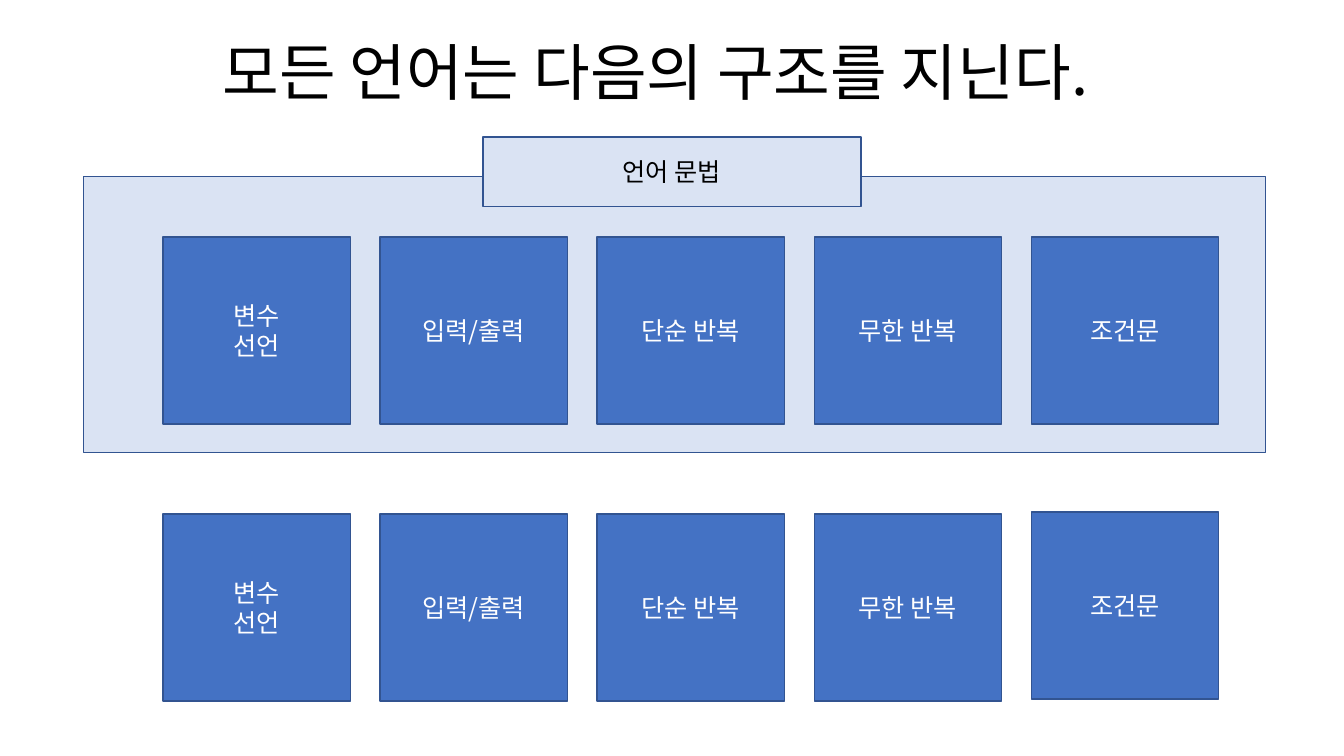
from dataclasses import dataclass

from lxml import etree
from pptx import Presentation
from pptx import util as u
from pptx.dml.color import RGBColor
from pptx.enum import shapes, text
from pptx.oxml.ns import qn
from pptx.shapes.autoshape import Shape
from pptx.slide import Slide


@dataclass(frozen=True)
class Theme:
    font: str = "Noto Sans CJK KR"
    title_size: int = 44
    body_size: int = 18
    ink: str = "000000"
    light_ink: str = "FFFFFF"
    pale: str = "DAE3F3"
    blue: str = "4472C4"
    outline: str = "325491"


@dataclass(frozen=True)
class Box:
    left: float
    top: float
    width: float
    height: float
    fill: str
    ink: str
    caption: str = ""

    def bounds(self) -> tuple[u.Cm, ...]:
        return tuple(u.Cm(side) for side in (self.left, self.top, self.width, self.height))


@dataclass(frozen=True)
class CardRow:
    top: float
    last_top: float


THEME = Theme()
CONCEPTS = ("변수\n선언", "입력/출력", "단순 반복", "무한 반복", "조건문")
CARD_ROWS = (CardRow(5.97, 5.97), CardRow(12.95, 12.9))
CARD_LEFT = 4.11
CARD_SIDE = 4.72
CARD_PITCH = 5.47


def write(holder: Shape, caption: str, size: int, ink: str) -> None:
    frame = holder.text_frame
    frame.word_wrap = True
    frame.text = caption
    for paragraph in frame.paragraphs:
        paragraph.alignment = text.PP_ALIGN.CENTER
        for run in paragraph.runs:
            formats = {"name": THEME.font, "size": u.Pt(size)}
            for attribute, value in formats.items():
                setattr(run.font, attribute, value)
            run.font.color.rgb = RGBColor.from_string(ink)
            east_asian = etree.SubElement(run.font._element, qn("a:ea"))
            east_asian.set("typeface", THEME.font)


def draw_box(slide: Slide, box: Box) -> None:
    block = slide.shapes.add_shape(shapes.MSO_SHAPE.RECTANGLE, *box.bounds())
    block.shadow.inherit = False
    block.fill.solid()
    block.fill.fore_color.rgb = RGBColor.from_string(box.fill)
    block.line.color.rgb = RGBColor.from_string(THEME.outline)
    block.line.width = u.Pt(1)
    if box.caption:
        block.text_frame.vertical_anchor = text.MSO_ANCHOR.MIDDLE
        write(block, box.caption, THEME.body_size, box.ink)


def draw_title(slide: Slide, caption: str) -> None:
    title = slide.shapes.add_textbox(u.Cm(3.28), u.Cm(0.74), u.Cm(26.49), u.Cm(2.13))
    title.text_frame.auto_size = text.MSO_AUTO_SIZE.SHAPE_TO_FIT_TEXT
    write(title, caption, THEME.title_size, THEME.ink)


def draw_cards(slide: Slide, row: CardRow) -> None:
    for column, concept in enumerate(CONCEPTS):
        top = row.last_top if concept == CONCEPTS[-1] else row.top
        left = CARD_LEFT + column * CARD_PITCH
        draw_box(slide, Box(left, top, CARD_SIDE, CARD_SIDE, THEME.blue, THEME.light_ink, concept))


def main() -> None:
    deck = Presentation()
    deck.slide_width = u.Cm(33.87)
    deck.slide_height = u.Cm(19.05)
    slide = deck.slides.add_slide(deck.slide_layouts[6])
    draw_box(slide, Box(2.11, 4.45, 29.79, 6.96, THEME.pale, THEME.ink))
    draw_title(slide, "모든 언어는 다음의 구조를 지닌다.")
    for row in CARD_ROWS:
        draw_cards(slide, row)
    draw_box(slide, Box(12.17, 3.45, 9.53, 1.75, THEME.pale, THEME.ink, "언어 문법"))
    deck.save("out.pptx")


if __name__ == "__main__":
    main()
